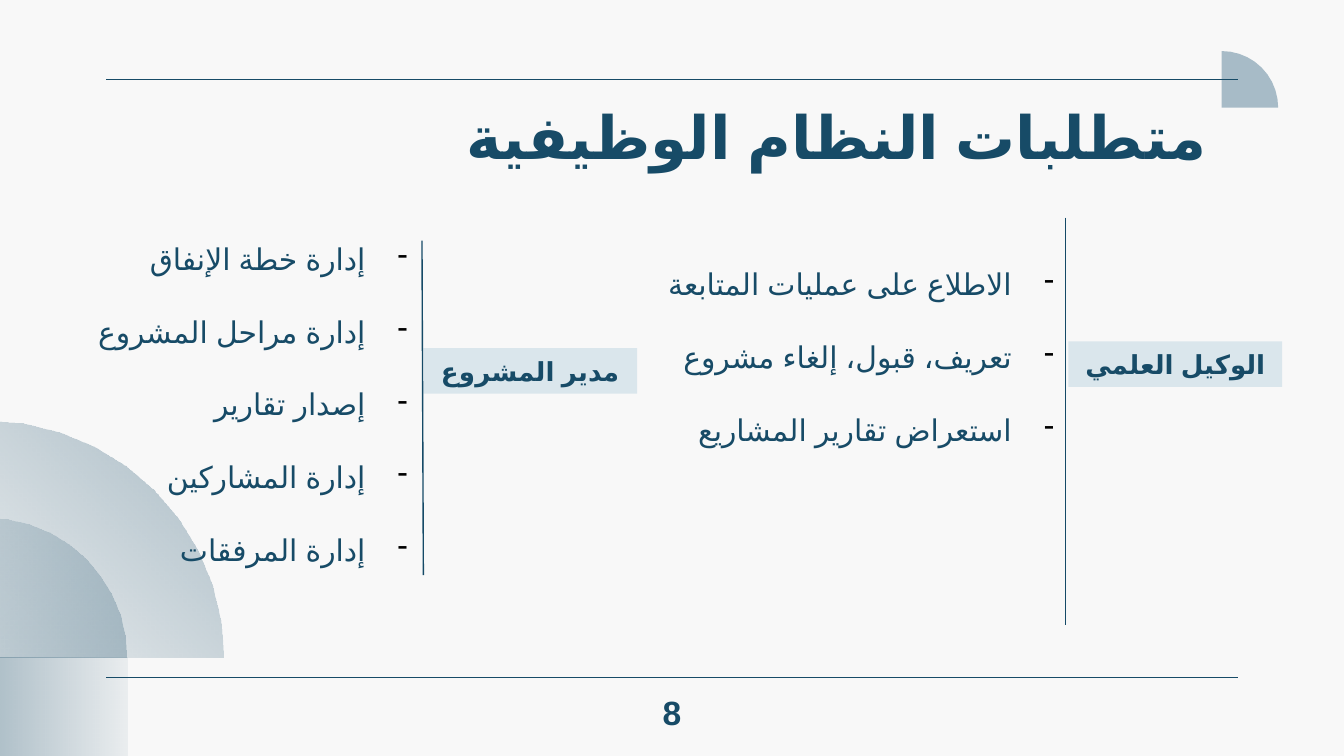
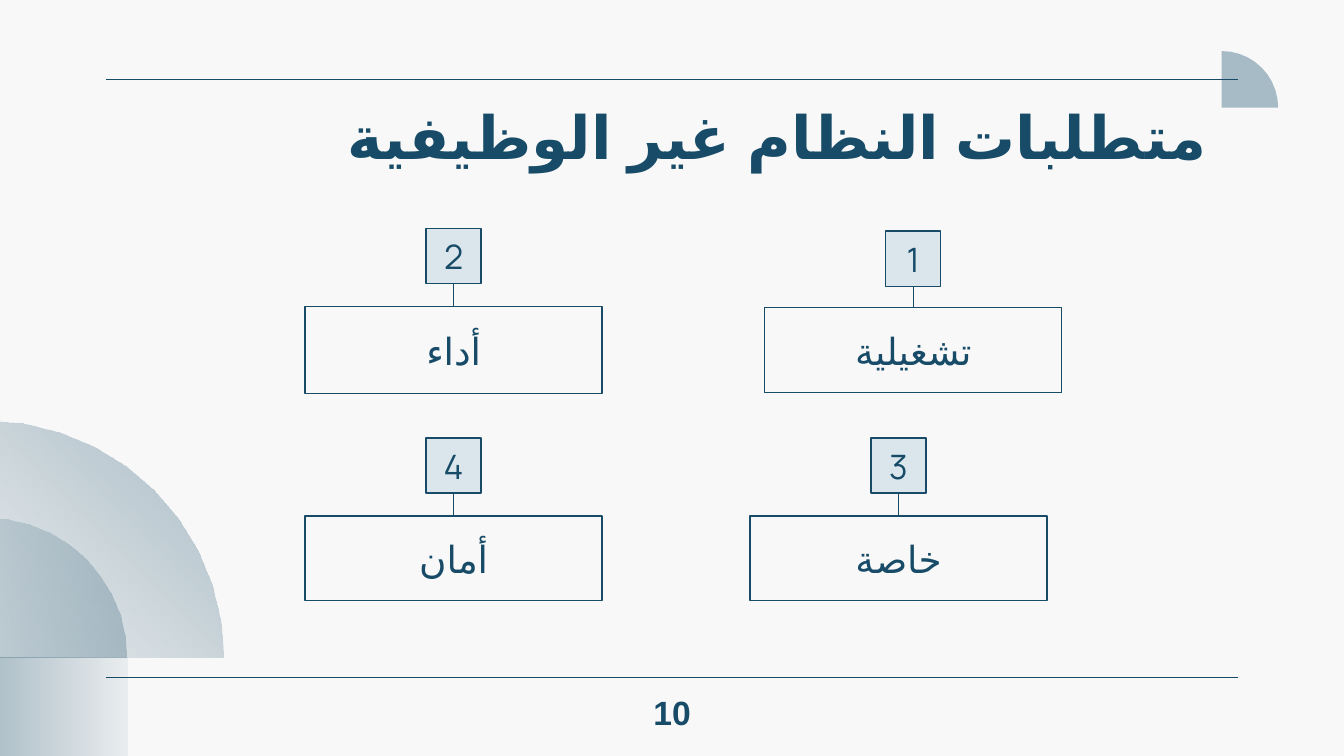
import math

import lxml.etree
import pptx
import pptx.dml.color
import pptx.enum.lang
import pptx.enum.shapes
import pptx.enum.text
import pptx.oxml.ns
import pptx.util

PX = 9144
NAVY = pptx.dml.color.RGBColor(0x17, 0x4B, 0x67)
DIVIDER = pptx.dml.color.RGBColor(0x15, 0x4A, 0x67)
PALE = pptx.dml.color.RGBColor(0xDA, 0xE6, 0xEC)
MIST = pptx.dml.color.RGBColor(0xA7, 0xBB, 0xC7)
PAPER = pptx.dml.color.RGBColor(0xF8, 0xF8, 0xF8)
BLACK = pptx.dml.color.RGBColor(0, 0, 0)
RECTANGLE = pptx.enum.shapes.MSO_SHAPE.RECTANGLE
ANCHOR = pptx.enum.text.MSO_ANCHOR
ALIGN = pptx.enum.text.PP_ALIGN
ARABIC = pptx.enum.lang.MSO_LANGUAGE_ID.ARABIC
qn = pptx.oxml.ns.qn


def add_text(slide, text, box, size=18, bold=False, font="Arial", align=ALIGN.CENTER,
             anchor=ANCHOR.MIDDLE, inset=10, fill=None, line=None, bullet=None):
    frame = [value * PX for value in box]
    if fill is None and line is None:
        shape = slide.shapes.add_textbox(*frame)
    else:
        shape = slide.shapes.add_shape(RECTANGLE, *frame)
        shape.shadow.inherit = False
        shape.fill.background()
        shape.line.fill.background()
        if fill is not None:
            shape.fill.solid()
            shape.fill.fore_color.rgb = fill
        if line is not None:
            shape.line.color.rgb = line
            shape.line.width = pptx.util.Pt(0.75)
    text_frame = shape.text_frame
    text_frame.word_wrap = True
    text_frame.vertical_anchor = anchor
    text_frame.margin_left = text_frame.margin_right = 10 * PX
    text_frame.margin_top = text_frame.margin_bottom = inset * PX
    text_frame.text = text
    for paragraph in text_frame.paragraphs:
        paragraph.alignment = align
        run = paragraph.runs[0]
        run.font.size = pptx.util.Pt(size)
        run.font.bold = bold
        run.font.name = font
        run.font.color.rgb = NAVY
        if not text.isdigit():
            run.font.language_id = ARABIC
            lxml.etree.SubElement(run._r.get_or_add_rPr(), qn("a:cs"), typeface=font)
        if bullet is not None:
            paragraph.space_after = pptx.util.Pt(19.8)
            properties = paragraph._p.get_or_add_pPr()
            properties.set("rtl", "1")
            properties.set("marL", str(31 * PX))
            properties.set("indent", str(-31 * PX))
            color = lxml.etree.SubElement(properties, qn("a:buClr"))
            lxml.etree.SubElement(color, qn("a:srgbClr"), val=str(bullet))
            lxml.etree.SubElement(properties, qn("a:buChar"), char="-")
    return shape


def add_line(slide, ends, color=NAVY):
    connector = slide.shapes.add_connector(
        pptx.enum.shapes.MSO_CONNECTOR.STRAIGHT, *[value * PX for value in ends])
    connector.line.color.rgb = color
    connector.line.width = pptx.util.Pt(0.75)
    lxml.etree.SubElement(connector.element.spPr, qn("a:effectLst"))
    return connector


presentation = pptx.Presentation()
presentation.slide_width = 1000 * PX
presentation.slide_height = pptx.util.Inches(5.625)
background = presentation.slide_master.background.fill
background.solid()
background.fore_color.rgb = PAPER

slides = []
for title, number in [("متطلبات النظام الوظيفية", "8"),
                      ("متطلبات النظام غير الوظيفية", "10")]:
    slide = presentation.slides.add_slide(presentation.slide_layouts[6])
    slides.append(slide)

    quarters = []
    for left, bottom, radius in [(909, 80, 42), (-10, 489, 176), (-10, 489, 104)]:
        builder = slide.shapes.build_freeform(left * PX, bottom * PX)
        builder.add_line_segments([
            ((left + radius * math.sin(math.radians(degree))) * PX,
             (bottom - radius * math.cos(math.radians(degree))) * PX)
            for degree in range(0, 91, 9)])
        quarter = builder.convert_to_shape()
        quarter.shadow.inherit = False
        quarter.line.fill.background()
        quarters.append(quarter)
    corner, large_arc, small_arc = quarters
    corner.fill.solid()
    corner.fill.fore_color.rgb = MIST

    base = slide.shapes.add_shape(RECTANGLE, -10 * PX, 489 * PX, 105 * PX, 74 * PX)
    base.shadow.inherit = False
    base.line.fill.background()
    for shape, angle, opacities in [(base, 0, (35, 6)), (large_arc, 225, (35, 6)),
                                    (small_arc, 315, (15, 26))]:
        shape.fill.gradient()
        shape.fill.gradient_angle = angle
        for stop in shape.fill.gradient_stops:
            stop.color.rgb = NAVY
        colors = shape.element.spPr.iter(qn("a:srgbClr"))
        for color, opacity in zip(list(colors), opacities):
            lxml.etree.SubElement(color, qn("a:alpha"), val=str(opacity * 1000))

    for y in (59, 504):
        add_line(slide, (79, y, 921, y))
    add_text(slide, title, (65, 64, 843, 57), size=32, bold=True,
             align=ALIGN.RIGHT, anchor=ANCHOR.TOP)
    add_text(slide, number, (466, 506, 68, 48), bold=True)

functional, nonfunctional = slides

roles = [
    ("الوكيل العلمي", (795, 254, 159, 34), (793, 162, 793, 465), (466, 193, 328, 145),
     ["الاطلاع على عمليات المتابعة", "تعريف، قبول، إلغاء مشروع",
      "استعراض تقارير المشاريع"]),
    ("مدير المشروع", (315, 259, 159, 34), (314, 179, 315, 428), (40, 174, 273, 279),
     ["إدارة خطة الإنفاق", "إدارة مراحل المشروع", "إصدار تقارير",
      "إدارة المشاركين", "إدارة المرفقات"]),
]
for role, tag_box, divider, list_box, duties in roles:
    add_text(functional, role, tag_box, size=14, bold=True, inset=5, fill=PALE)
    add_line(functional, divider, DIVIDER)
    add_text(functional, "\n".join(duties), list_box, size=16, align=ALIGN.RIGHT,
             anchor=ANCHOR.TOP, inset=5, bullet=BLACK)

requirements = [
    ("1", "تشغيلية", 569, 172, 229, 63),
    ("2", "أداء", 227, 170, 228, 65),
    ("3", "خاصة", 558, 326, 384, 63),
    ("4", "أمان", 227, 326, 384, 63),
]
for number, name, left, number_top, top, height in requirements:
    label = add_text(nonfunctional, name, (left, top, 221, height), size=20, line=NAVY)
    badge = add_text(nonfunctional, number, (left + 90, number_top, 41, 41),
                     font="Manrope", fill=PALE, line=NAVY)
    stem = add_line(nonfunctional, (left + 110, number_top + 41, left + 110, top))
    stem.begin_connect(badge, 2)
    stem.end_connect(label, 0)

presentation.save("out.pptx")
